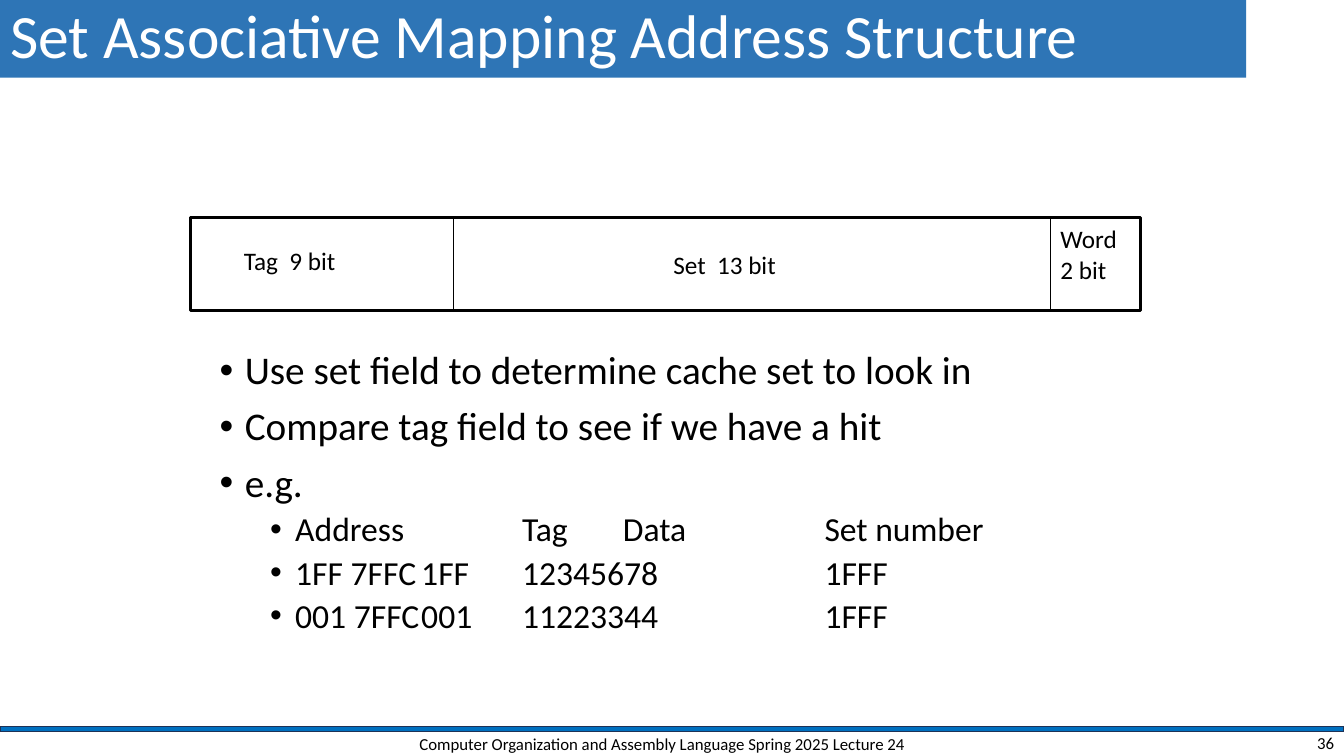
from lxml.etree import SubElement
from pptx import Presentation
from pptx.dml.color import RGBColor
from pptx.enum.shapes import MSO_CONNECTOR, MSO_SHAPE
from pptx.enum.text import MSO_ANCHOR, MSO_AUTO_SIZE, PP_ALIGN
from pptx.oxml.ns import qn
from pptx.util import Inches, Pt

# Content
TITLE = "Set Associative Mapping Address Structure"
POINTS = [
    (0, "Use set field to determine cache set to look in"),
    (0, "Compare tag field to see if we have a hit"),
    (0, "e.g."),
    (1, "Address\t\tTag\tData\t\tSet number"),
    (1, "1FF 7FFC\t1FF\t12345678\t\t1FFF"),
    (1, "001 7FFC\t001\t11223344\t\t1FFF"),
]
FIELDS = [  # lines, left, top, width, height
    (["Tag  9 bit"], 2.32, 2.38, 1.12, 0.4),
    (["Set  13 bit"], 6.58, 2.42, 1.23, 0.4),
    (["Word", "2 bit"], 10.42, 2.17, 0.77, 0.71),
]
FOOTERS = [  # text, left, width, height, alignment
    ("Computer Organization and Assembly Language Spring 2025 Lecture 24",
     3.92, 5.3, 0.28, PP_ALIGN.CENTER),
    ("36", 10.33, 3, 0.25, PP_ALIGN.RIGHT),
]

# Format and layout
COLORS = {"title": "2E75B6", "rule": "0070C0", "rule_edge": "1E3256",
          "ink": "000000", "paper": "FFFFFF"}
LEVELS = [  # size, space before, left margin in inches
    {"size": 28, "before": 10, "margin": 0.25},
    {"size": 24, "before": 5, "margin": 0.75},
]
HANGING = 0.25
TAB_STEP = 1
WIDTH, HEIGHT = 13.33, 7.5
ADDRESS = (1.89, 2.16, 9.42, 0.92)
DIVIDERS = (4.5, 10.42)
FOOTER_TOP = 7.24


def color(name):
    return RGBColor.from_string(COLORS[name])


def inches(*lengths):
    return [Inches(length) for length in lengths]


def write(para, text, size, ink="ink", **formats):
    span = para.add_run()
    span.text = text
    for name, value in {"name": "Calibri", "size": Pt(size)}.items():
        setattr(span.font, name, value)
    span.font.color.rgb = color(ink)
    for name, value in formats.items():
        setattr(para, name, value)


def add_text(page, place, lines, size, frame_formats, **formats):
    frame = page.shapes.add_textbox(*inches(*place)).text_frame
    for name, value in frame_formats.items():
        setattr(frame, name, value)
    for index, line in enumerate(lines):
        para = frame.add_paragraph() if index else frame.paragraphs[0]
        write(para, line, size, **formats)


def add_box(page, place, fill, edge, weight):
    box = page.shapes.add_shape(MSO_SHAPE.RECTANGLE, *inches(*place))
    box.shadow.inherit = False
    if fill:
        box.fill.solid()
        box.fill.fore_color.rgb = color(fill)
    else:
        box.fill.background()
    box.line.color.rgb = color(edge)
    box.line.width = Pt(weight)


def add_bullet(para, level):
    properties = para._p.get_or_add_pPr()
    for name, length in {"marL": LEVELS[level]["margin"], "indent": -HANGING,
                         "defTabSz": TAB_STEP}.items():
        properties.set(name, str(Inches(length)))
    SubElement(properties, qn("a:buFont"), typeface="Arial")
    SubElement(properties, qn("a:buChar"), char="•")


def main():
    deck = Presentation()
    deck.slide_width, deck.slide_height = inches(WIDTH, HEIGHT)
    page = deck.slides.add_slide(deck.slide_layouts[5])

    # Title band
    title = page.shapes.title
    title.left, title.top, title.width, title.height = inches(0, 0, 12.36, 0.77)
    title.fill.solid()
    title.fill.fore_color.rgb = color("title")
    title.text_frame.vertical_anchor = MSO_ANCHOR.MIDDLE
    title.text_frame.auto_size = MSO_AUTO_SIZE.NONE
    write(title.text_frame.paragraphs[0], TITLE, 44, "paper",
          alignment=PP_ALIGN.LEFT, line_spacing=0.9)

    # Footer rule
    add_box(page, (0, 7.21, WIDTH, 0.05), "rule", "rule_edge", 1)

    # Bullet points
    body = page.shapes.add_textbox(*inches(2.08, 3.43, 9.03, 3.82)).text_frame
    body.word_wrap = True
    for index, (level, text) in enumerate(POINTS):
        para = body.add_paragraph() if index else body.paragraphs[0]
        look = LEVELS[level]
        write(para, text, look["size"], level=level, line_spacing=0.9,
              space_before=Pt(look["before"]))
        add_bullet(para, level)

    # Address word with its fields
    add_box(page, ADDRESS, None, "ink", 2.25)
    top, bottom = ADDRESS[1], ADDRESS[1] + ADDRESS[3]
    for x in DIVIDERS:
        divider = page.shapes.add_connector(
            MSO_CONNECTOR.STRAIGHT, *inches(x, top, x, bottom))
        divider.line.color.rgb = color("ink")
        divider.line.width = Pt(0.75)
        SubElement(divider._element.spPr, qn("a:effectLst"))
    for lines, *place in FIELDS:
        add_text(page, place, lines, 18,
                 {"word_wrap": False, "auto_size": MSO_AUTO_SIZE.SHAPE_TO_FIT_TEXT})

    # Footer
    for text, left, width, height, alignment in FOOTERS:
        add_text(page, (left, FOOTER_TOP, width, height), [text], 12,
                 {"word_wrap": True, "vertical_anchor": MSO_ANCHOR.MIDDLE},
                 alignment=alignment)

    deck.save("out.pptx")


if __name__ == "__main__":
    main()
